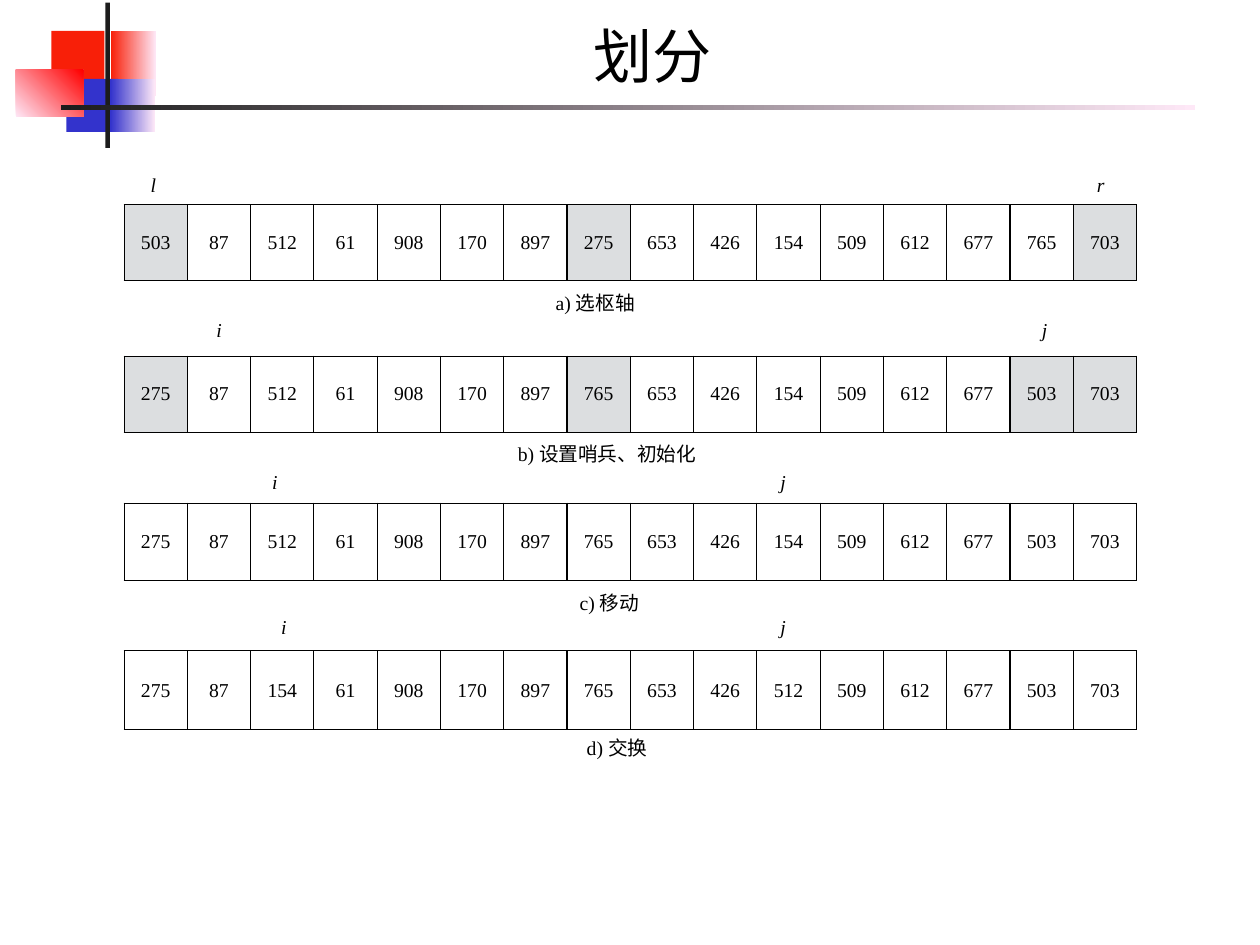
from pptx import Presentation
from pptx import util as u
from pptx.dml.color import RGBColor
from pptx.enum import shapes, text
from pptx.oxml import parse_xml
from pptx.oxml.ns import nsdecls

# Content
TITLE = "划分"
START = [503, 87, 512, 61, 908, 170, 897, 275, 653, 426, 154, 509, 612, 677, 765, 703]
GUARDED = [275, 87, 512, 61, 908, 170, 897, 765, 653, 426, 154, 509, 612, 677, 503, 703]
SWAPPED = [275, 87, 154, 61, 908, 170, 897, 765, 653, 426, 512, 509, 612, 677, 503, 703]

# Across: columns of the array grid. Down: inches.
# markers: (letter, left, width); marker_box: (rise above the array, height)
# caption: (text, left, width, overlap with the array)
STAGES = [
    dict(values=START, shaded=(0, 7, 15), top=2.31, height=0.86,
         markers=[("l", 0.28, 0.32), ("r", 15.23, 0.36)], marker_box=(0.4, 0.35),
         caption=("a) 选枢轴", 6.68, 2.23, 0.1)),
    dict(values=GUARDED, shaded=(0, 7, 14, 15), top=4.02, height=0.86,
         markers=[("i", 1.32, 0.49), ("j", 14.36, 0.49)], marker_box=(0.59, 0.59),
         caption=("b) 设置哨兵、初始化", 6.08, 4.59, 0.11)),
    dict(values=GUARDED, shaded=(), top=5.68, height=0.88,
         markers=[("i", 2.2, 0.49), ("j", 10.23, 0.49)], marker_box=(0.54, 0.59),
         caption=("c) 移动", 7.06, 1.76, 0.11)),
    dict(values=SWAPPED, shaded=(), top=7.35, height=0.89,
         markers=[("i", 2.34, 0.49), ("j", 10.23, 0.49)], marker_box=(0.57, 0.59),
         caption=("d) 交换", 7.17, 1.79, 0.15)),
]

# Corner ornament: left, top, width, height, colours, gradient angle
ORNAMENT = [
    (1.25, 0.35, 0.51, 0.74, ("F81F08", "FEE8F7"), 0),
    (0.58, 0.35, 0.6, 0.6, ("F81F08",), 0),
    (0.75, 0.89, 0.58, 0.6, ("3333CC",), 0),
    (1.25, 0.89, 0.5, 0.6, ("3333CC", "FEE8F7"), 0),
    (0.18, 0.79, 0.76, 0.53, ("FEE8F7", "FF0000"), 45),
    (1.19, 0.03, 0.05, 1.64, ("1C1C1C",), 0),
    (0.69, 1.19, 12.8, 0.05, ("1C1C1C", "FEE8F7"), 0),
]

WIDTH, HEIGHT = 14.22, 10.67
GRID_LEFT, GRID_WIDTH = 1.4, 11.43
COLUMN = GRID_WIDTH / len(START)
INSET = u.Inches(0.06)
SERIF = dict(name="Times New Roman", size=u.Pt(16))


def colour(value):
    return RGBColor.from_string(value)


def inches(*lengths):
    return [u.Inches(length) for length in lengths]


def write(frame, words, align, left=0, indent=0, **font):
    for side in ("left", "top", "right", "bottom"):
        setattr(frame, "margin_" + side, INSET)
    frame.word_wrap = True
    frame.vertical_anchor = text.MSO_ANCHOR.MIDDLE
    para = frame.paragraphs[0]
    para.alignment = align
    properties = para._p.get_or_add_pPr()
    properties.set("marL", str(u.Inches(left)))
    properties.set("indent", str(u.Inches(indent)))
    span = para.add_run()
    span.text = words
    for key, value in font.items():
        setattr(span.font, key, value)
    span.font.color.rgb = colour("000000")


def add_ornament(page):
    for *place, colours, angle in ORNAMENT:
        shape = page.shapes.add_shape(shapes.MSO_SHAPE.RECTANGLE, *inches(*place))
        shape.shadow.inherit = False
        shape.line.fill.background()
        if len(colours) == 1:
            shape.fill.solid()
            shape.fill.fore_color.rgb = colour(colours[0])
        else:
            shape.fill.gradient()
            shape.fill.gradient_angle = angle
            for stop, value in zip(shape.fill.gradient_stops, colours):
                stop.color.rgb = colour(value)


def add_label(page, words, column, top, columns, height, **font):
    place = inches(GRID_LEFT + column * COLUMN, top, columns * COLUMN, height)
    box = page.shapes.add_textbox(*place)
    write(box.text_frame, words, text.PP_ALIGN.LEFT, left=0.04, **SERIF, **font)


def add_borders(cell):
    properties = cell._tc.get_or_add_tcPr()
    for side in "LRTB":
        properties.append(parse_xml(
            f'<a:ln{side} {nsdecls("a")} w="{u.Pt(1)}"><a:solidFill>'
            f'<a:srgbClr val="000000"/></a:solidFill></a:ln{side}>'))


def add_array(page, values, shaded, top, height):
    place = inches(GRID_LEFT, top, GRID_WIDTH, height)
    table = page.shapes.add_table(1, len(values), *place).table
    table.first_row = table.horz_banding = False
    for index, value in enumerate(values):
        table.columns[index].width = u.Inches(COLUMN)
        cell = table.cell(0, index)
        write(cell.text_frame, str(value), text.PP_ALIGN.CENTER, **SERIF)
        cell.vertical_anchor = text.MSO_ANCHOR.MIDDLE
        for side in ("left", "top", "right", "bottom"):
            setattr(cell, "margin_" + side, INSET)
        add_borders(cell)
        if index in shaded:
            cell.fill.solid()
            cell.fill.fore_color.rgb = colour("DCDEE0")
        else:
            cell.fill.background()


def add_stage(page, values, shaded, top, height, markers, marker_box, caption):
    add_array(page, values, shaded, top, height)
    rise, marker_height = marker_box
    for letter, column, columns in markers:
        add_label(page, letter, column, top - rise, columns, marker_height, italic=True)
    words, column, columns, overlap = caption
    add_label(page, words, column, top + height - overlap, columns, 0.7)


def main():
    deck = Presentation()
    deck.slide_width, deck.slide_height = inches(WIDTH, HEIGHT)
    page = deck.slides.add_slide(deck.slide_layouts[5])

    # Title
    title = page.shapes.title
    title.left, title.top, title.width, title.height = inches(1.33, 0.1, 12.01, 1.04)
    write(title.text_frame, TITLE, text.PP_ALIGN.CENTER, indent=0.06,
          name="Montserrat", size=u.Pt(48))

    # Ornament and the four partition stages
    add_ornament(page)
    for stage in STAGES:
        add_stage(page, **stage)
    deck.save("out.pptx")


if __name__ == "__main__":
    main()
